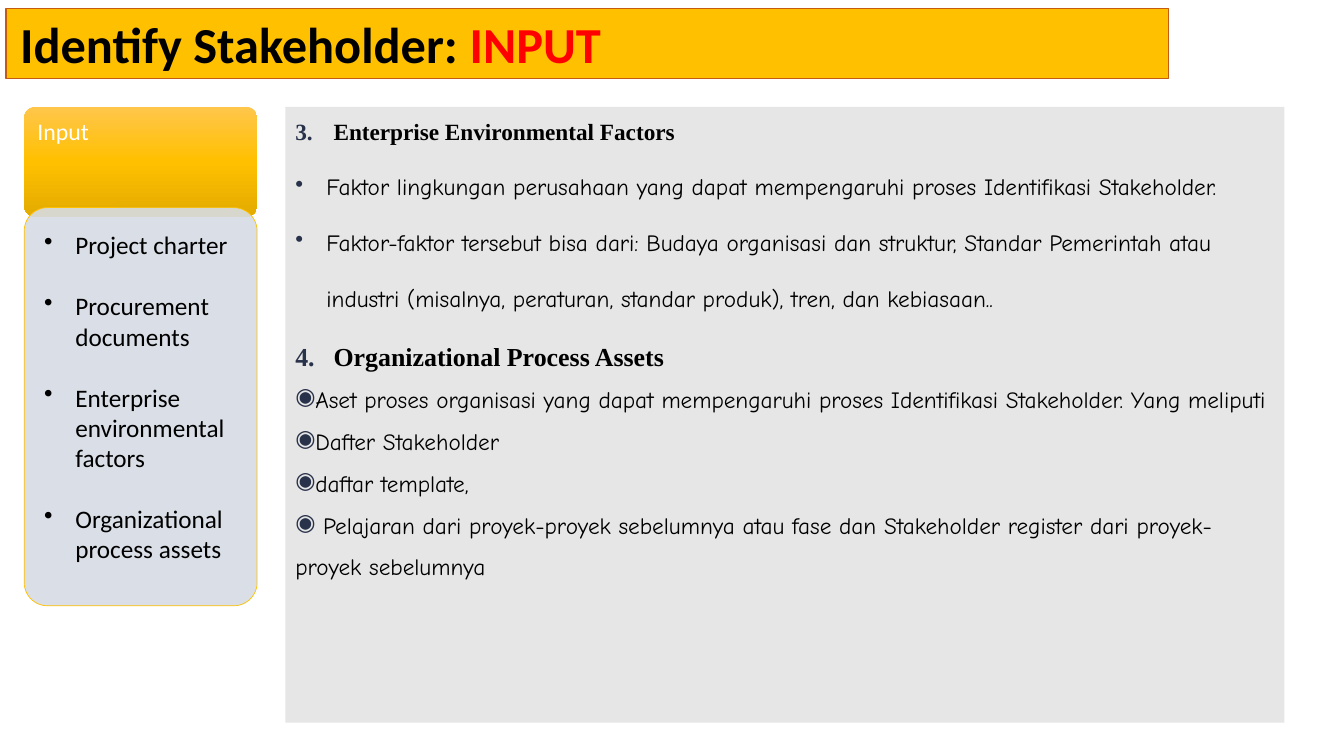
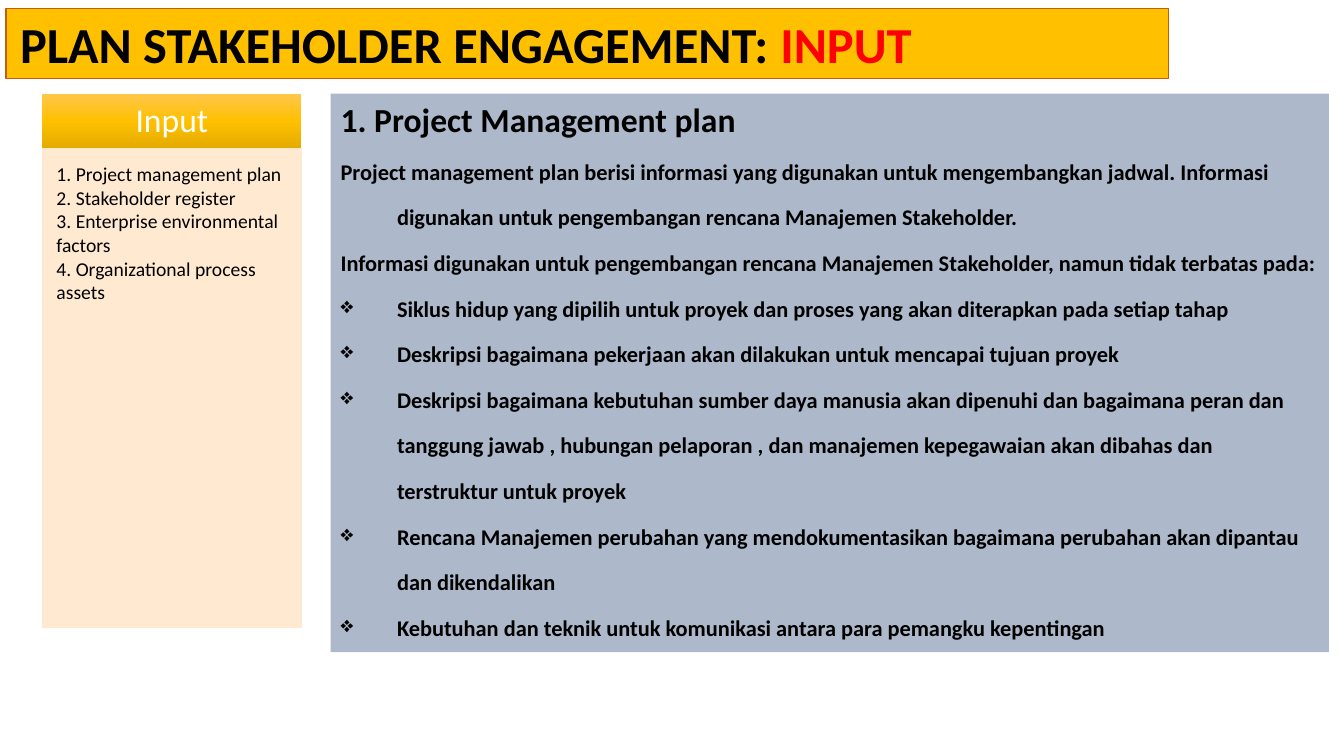
from dataclasses import dataclass

from lxml import etree
from pptx import Presentation
from pptx.dml.color import RGBColor
from pptx.enum.shapes import MSO_SHAPE
from pptx.enum.text import MSO_ANCHOR, PP_ALIGN
from pptx.oxml import parse_xml
from pptx.oxml.ns import nsdecls, qn
from pptx.util import Pt

RECT, ROUNDED = MSO_SHAPE.RECTANGLE, MSO_SHAPE.ROUNDED_RECTANGLE
TOP, MIDDLE = MSO_ANCHOR.TOP, MSO_ANCHOR.MIDDLE
LEFT, CENTER = PP_ALIGN.LEFT, PP_ALIGN.CENTER
PX = 9144


@dataclass(frozen=True)
class Theme:
    gold: str = "FFC000"
    gold_light: str = "FFC64B"
    gold_dark: str = "E3AB00"
    rust: str = "C55A11"
    red: str = "FF0000"
    black: str = "000000"
    white: str = "FFFFFF"
    grey: str = "E7E6E6"
    mist: str = "D6DCE5"
    peach: str = "FFE8CC"
    steel: str = "ADB9CA"
    navy: str = "28324A"
    sans: str = "Calibri"
    serif: str = "Times New Roman"
    comic: str = "Comic Neue"
    title: float = 36
    heading: float = 24
    subheading: float = 18.5
    list: float = 18
    label: float = 17
    body: float = 16.6
    detail: float = 16
    small: float = 14


T = Theme()


def add_box(slide, area, fill, kind=RECT, line=None, line_width=0.5, alpha=None,
            insets=(10, 10, 10, 10), anchor=TOP):
    box = slide.shapes.add_shape(kind, *(v * PX for v in area))
    box.shadow.inherit = False
    if kind == ROUNDED:
        box.adjustments[0] = 0.1
    if isinstance(fill, tuple):
        stops = "".join(f'<a:gs pos="{i * 50000}"><a:srgbClr val="{color}"/></a:gs>'
                        for i, color in enumerate(fill))
        gradient = parse_xml(f'<a:gradFill {nsdecls("a")} rotWithShape="1"><a:gsLst>{stops}'
                             '</a:gsLst><a:lin ang="5400000" scaled="0"/></a:gradFill>')
        box._element.spPr.find(qn("a:prstGeom")).addnext(gradient)
    else:
        box.fill.solid()
        box.fill.fore_color.rgb = RGBColor.from_string(fill)
    if alpha:
        color = box._element.spPr.find(qn("a:solidFill")).find(qn("a:srgbClr"))
        etree.SubElement(color, qn("a:alpha"), val=str(alpha * 1000))
    if line:
        box.line.color.rgb = RGBColor.from_string(line)
        box.line.width = Pt(line_width)
    else:
        box.line.fill.background()
    frame = box.text_frame
    frame.word_wrap = True
    frame.vertical_anchor = anchor
    (frame.margin_left, frame.margin_top,
     frame.margin_right, frame.margin_bottom) = (v * PX for v in insets)
    return frame


def add_text(frame, text, size, font=T.sans, color=T.black, bold=False, align=LEFT,
             spacing=None, before=0, hang=0, bullet=None, number=None, bullet_color=None):
    first = not frame.paragraphs[0].runs
    paragraph = frame.paragraphs[0] if first else frame.add_paragraph()
    props = paragraph._p.get_or_add_pPr()
    props.set("marL", str(hang * PX))
    props.set("indent", str(-hang * PX))
    if bullet_color:
        holder = etree.SubElement(props, qn("a:buClr"))
        etree.SubElement(holder, qn("a:srgbClr"), val=bullet_color)
    if bullet:
        etree.SubElement(props, qn("a:buChar"), char=bullet)
    if number:
        etree.SubElement(props, qn("a:buAutoNum"), type="arabicPeriod", startAt=str(number))
    paragraph.alignment = align
    if spacing:
        paragraph.line_spacing = spacing
    if before and not first:
        paragraph.space_before = Pt(before)
    paragraph.font.name = font
    paragraph.font.size = Pt(size)
    paragraph.font.bold = bold
    paragraph.font.color.rgb = RGBColor.from_string(color)
    paragraph.add_run().text = text
    return paragraph


prs = Presentation()
prs.slide_width, prs.slide_height = 1333 * PX, 750 * PX
gold_fade = (T.gold_light, T.gold, T.gold_dark)

slides = []
for topic in ("Identify Stakeholder: ", "PLAN STAKEHOLDER ENGAGEMENT: "):
    slide = prs.slides.add_slide(prs.slide_layouts[6])
    band = add_box(slide, (6, 8, 1153, 70), T.gold, line=T.rust, line_width=0.75,
                   insets=(14, 5, 9, 5))
    stage = add_text(band, topic, T.title, bold=True).add_run()
    stage.text = "INPUT"
    stage.font.color.rgb = RGBColor.from_string(T.red)
    slides.append(slide)
identify, plan = slides

factors = add_box(identify, (283, 106, 991, 611), T.grey)
add_text(factors, "Enterprise Environmental Factors", T.body, T.serif, bold=True,
         hang=38, number=3, bullet_color=T.navy)
for point in (
    "Faktor lingkungan perusahaan yang dapat mempengaruhi proses Identifikasi Stakeholder.",
    "Faktor-faktor tersebut bisa dari: Budaya organisasi dan struktur, Standar Pemerintah atau "
    "industri (misalnya, peraturan, standar produk), tren, dan kebiasaan..",
):
    add_text(factors, point, T.body, T.comic, spacing=2.0, hang=31, bullet="•",
             bullet_color=T.navy)
add_text(factors, "Organizational Process Assets", T.subheading, T.serif, bold=True,
         before=20, hang=38, number=4, bullet_color=T.navy)
for asset in (
    "Aset proses organisasi yang dapat mempengaruhi proses Identifikasi Stakeholder. "
    "Yang meliputi",
    "Dafter Stakeholder",
    "daftar template,",
    " Pelajaran dari proyek-proyek sebelumnya atau fase dan Stakeholder register dari "
    "proyek-proyek sebelumnya",
):
    add_text(factors, asset, T.body, T.comic, spacing=1.5, bullet="◉", bullet_color=T.navy)

input_tab = add_box(identify, (24, 106, 231, 109), gold_fade, ROUNDED)
add_text(input_tab, "Input", T.label, color=T.white, spacing=0.9)
input_list = add_box(identify, (24, 206, 231, 395), T.mist, ROUNDED, T.gold, alpha=90,
                     insets=(13, 15, 6, 13))
for source in ("Project charter", "Procurement documents",
               "Enterprise environmental factors", "Organizational process assets"):
    add_text(input_list, source, T.list, before=22, hang=31, bullet="•")

input_header = add_box(plan, (42, 93, 257, 55), gold_fade, insets=(19, 11, 19, 11),
                       anchor=MIDDLE)
add_text(input_header, "Input", T.heading, color=T.white, align=CENTER, spacing=0.9)
plan_inputs = add_box(plan, (42, 147, 257, 475), T.peach, line=T.peach, alpha=90,
                      insets=(14, 14, 19, 21))
for source in ("1. Project management plan", "2. Stakeholder register",
               "3. Enterprise environmental factors", "4. Organizational process assets"):
    add_text(plan_inputs, source, T.small)

management_plan = add_box(plan, (328, 93, 990, 554), T.steel, insets=(10, 5, 10, 5))
add_text(management_plan, "1. Project Management plan", T.heading, bold=True)
for bullet, points in (
    (None, (
        "Project management plan berisi informasi yang digunakan untuk mengembangkan jadwal. "
        "Informasi digunakan untuk pengembangan rencana Manajemen Stakeholder.",
        "Informasi digunakan untuk pengembangan rencana Manajemen Stakeholder, namun tidak "
        "terbatas pada:",
    )),
    ("❖", (
        "Siklus hidup yang dipilih untuk proyek dan proses yang akan diterapkan pada setiap tahap",
        "Deskripsi bagaimana pekerjaan akan dilakukan untuk mencapai tujuan proyek",
        "Deskripsi bagaimana kebutuhan sumber daya manusia akan dipenuhi dan bagaimana peran dan "
        "tanggung jawab , hubungan pelaporan , dan manajemen kepegawaian akan dibahas dan "
        "terstruktur untuk proyek",
        "Rencana Manajemen perubahan yang mendokumentasikan bagaimana perubahan akan dipantau "
        "dan dikendalikan",
        "Kebutuhan dan teknik untuk komunikasi antara para pemangku kepentingan",
    )),
):
    for point in points:
        add_text(management_plan, point, T.detail, bold=True, spacing=1.7, hang=56,
                 bullet=bullet)

prs.save("out.pptx")
